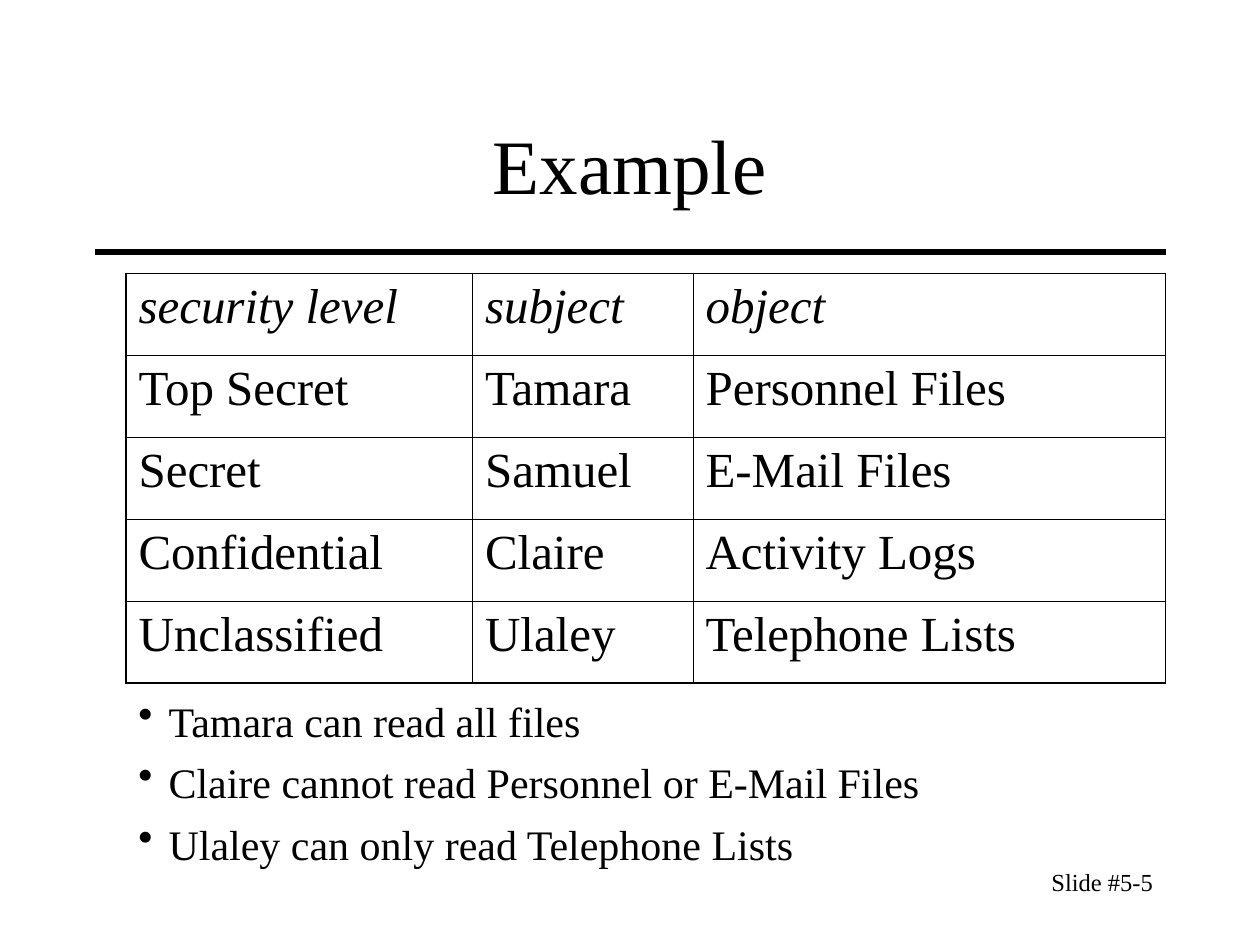
from lxml import etree
from pptx import Presentation
from pptx.dml.color import RGBColor
from pptx.enum import shapes, text
from pptx.oxml import ns
from pptx.util import Inches, Pt

BLACK = RGBColor(0, 0, 0)
FACE = "Times New Roman"
ROWS = [
    ["security level", "subject", "object"],
    ["Top Secret", "Tamara", "Personnel Files"],
    ["Secret", "Samuel", "E-Mail Files"],
    ["Confidential", "Claire", "Activity Logs"],
    ["Unclassified", "Ulaley", "Telephone Lists"],
]
WIDTHS = [2.75, 1.75, 3.75]
HEIGHT = 0.65
POINTS = [
    "Tamara can read all files",
    "Claire cannot read Personnel or E-Mail Files",
    "Ulaley can only read Telephone Lists",
]


def style(para, size, align=text.PP_ALIGN.LEFT):
    para.alignment = align
    para.font.size = Pt(size)
    para.font.name = FACE
    para.font.color.rgb = BLACK


def add_box(left, top, width, height):
    box = slide.shapes.add_textbox(Inches(left), Inches(top), Inches(width), Inches(height))
    box.text_frame.word_wrap = True
    return box.text_frame


deck = Presentation()
deck.slide_width = Inches(10)
deck.slide_height = Inches(7.5)
slide = deck.slides.add_slide(deck.slide_layouts[6])

rule = slide.shapes.add_connector(
    shapes.MSO_CONNECTOR.STRAIGHT, Inches(0.75), Inches(2), Inches(9.25), Inches(2))
rule.line.color.rgb = BLACK
rule.line.width = Pt(3)
etree.SubElement(rule._element.spPr, ns.qn("a:effectLst"))

foot = add_box(7.17, 6.83, 2.08, 0.5)
foot.text = "Slide #5-5"
style(foot.paragraphs[0], 14, text.PP_ALIGN.RIGHT)

title = add_box(0.75, 0.67, 8.5, 1.25)
title.text = "Example"
title.vertical_anchor = text.MSO_ANCHOR.MIDDLE
style(title.paragraphs[0], 44, text.PP_ALIGN.CENTER)

grid = slide.shapes.add_table(
    len(ROWS), len(WIDTHS), Inches(1), Inches(2.17),
    Inches(sum(WIDTHS)), Inches(HEIGHT * len(ROWS))).table
grid.first_row = False
grid.horz_banding = False
for col, width in zip(grid.columns, WIDTHS):
    col.width = Inches(width)
for r, words in enumerate(ROWS):
    grid.rows[r].height = Inches(HEIGHT)
    for c, word in enumerate(words):
        cell = grid.cell(r, c)
        cell.text = word
        para = cell.text_frame.paragraphs[0]
        style(para, 28)
        para.font.italic = r == 0
        props = cell._tc.get_or_add_tcPr()
        edges = {
            "L": c == 0,
            "R": c == len(WIDTHS) - 1,
            "T": r == 0,
            "B": r == len(ROWS) - 1,
        }
        for side, outer in edges.items():
            edge = etree.SubElement(props, ns.qn("a:ln" + side), w=str(Pt(1.08 if outer else 0.45)))
            fill = etree.SubElement(edge, ns.qn("a:solidFill"))
            etree.SubElement(fill, ns.qn("a:srgbClr"), val=str(BLACK))
        cell.fill.background()

notes = add_box(1, 5.58, 8.23, 1.36)
for n, point in enumerate(POINTS):
    para = notes.add_paragraph() if n else notes.paragraphs[0]
    para.text = point
    para.line_spacing = 0.7
    if n:
        para.space_before = Pt(15)
    props = para._p.get_or_add_pPr()
    props.set("marL", str(Inches(0.24)))
    props.set("indent", str(Inches(-0.24)))
    etree.SubElement(props, ns.qn("a:buChar"), char="•")
    style(para, 24)

deck.save("out.pptx")
